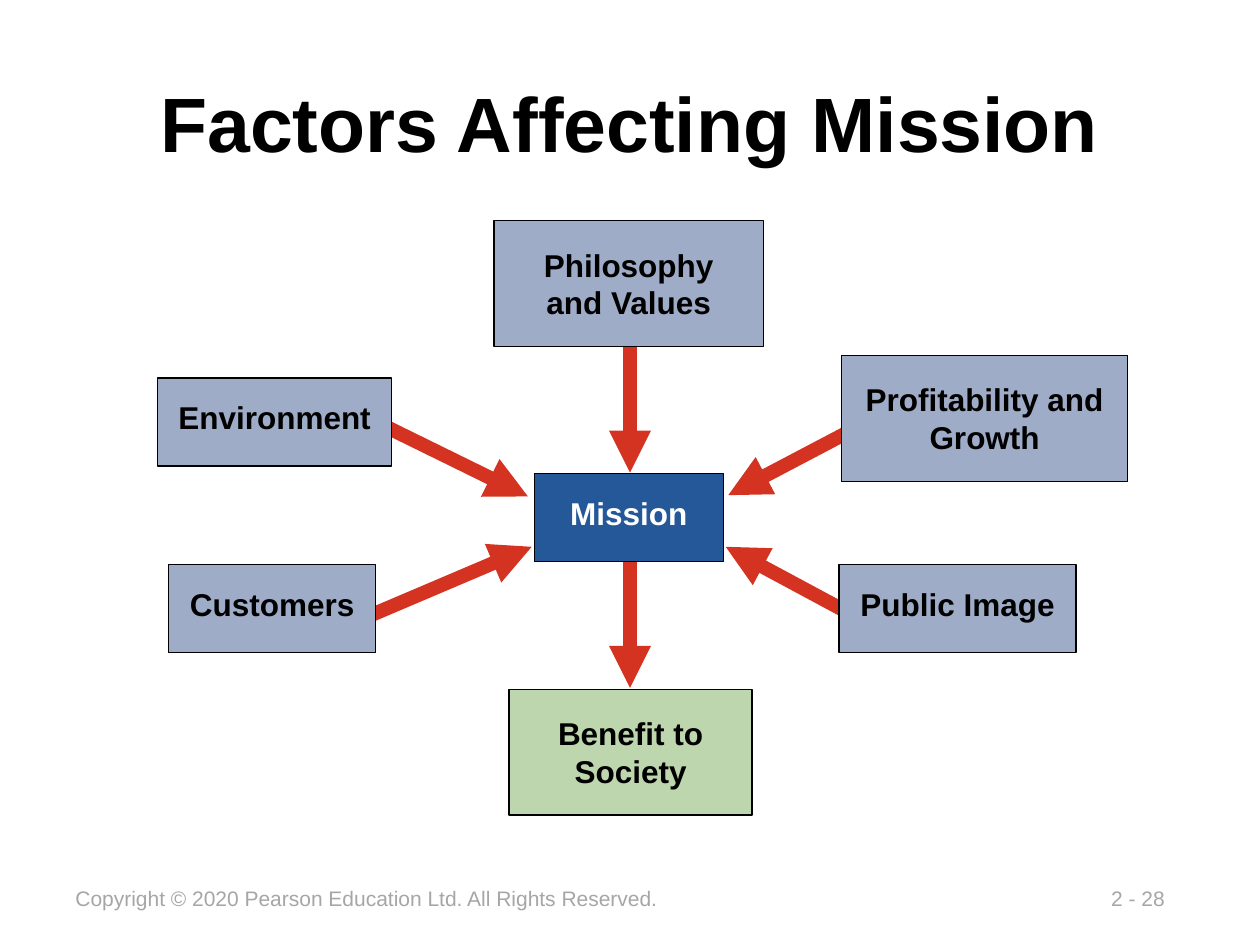
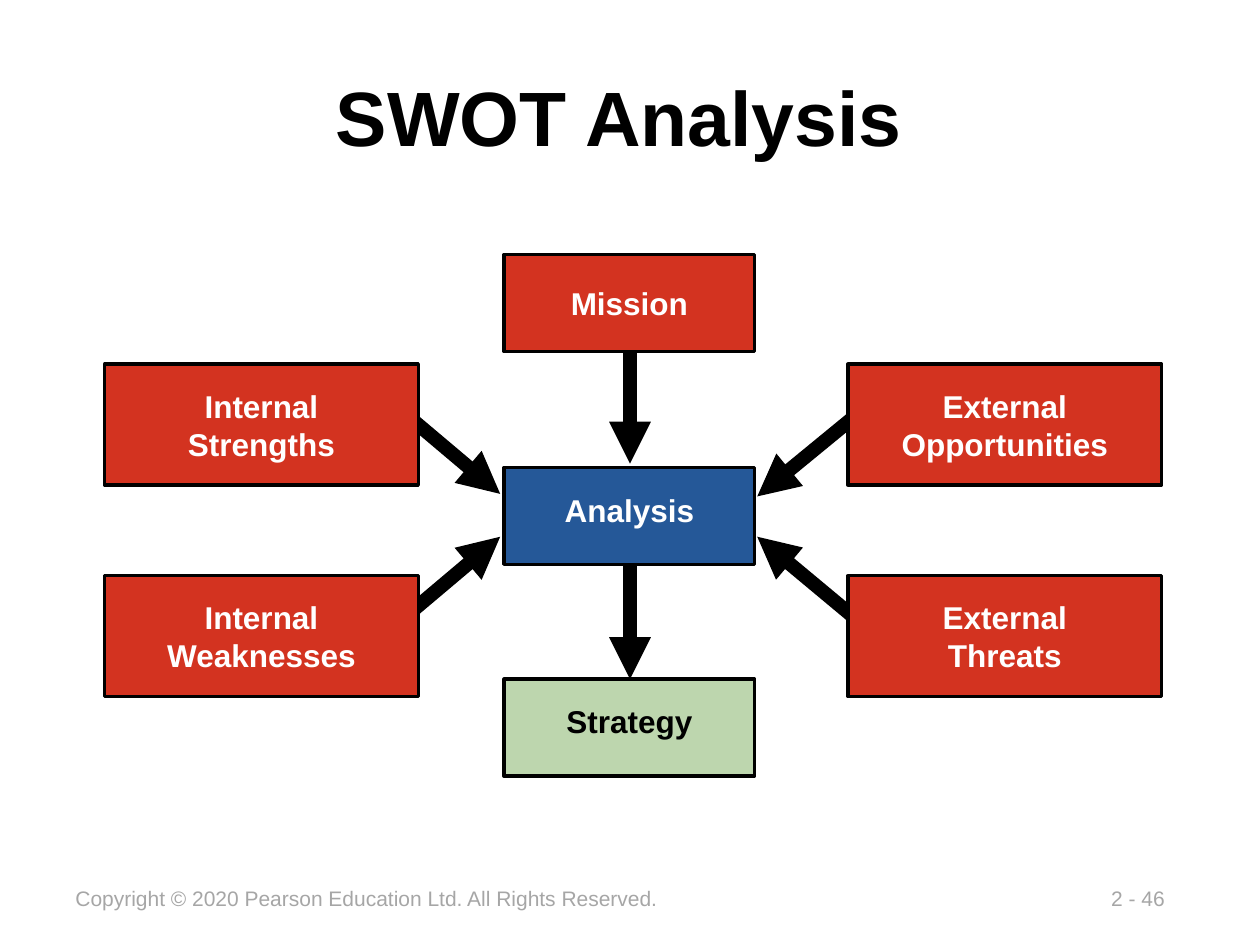
import pptx
import pptx.util
import pptx.dml.color
import pptx.enum.shapes
import pptx.enum.text
import pptx.oxml.ns
import lxml.etree

RGB = pptx.dml.color.RGBColor
ALIGN = pptx.enum.text.PP_ALIGN
ANCHOR = pptx.enum.text.MSO_ANCHOR
Pt = pptx.util.Pt

BLACK = RGB(0x00, 0x00, 0x00)
WHITE = RGB(0xFF, 0xFF, 0xFF)
GREY = RGB(0xA6, 0xA6, 0xA6)
RED = RGB(0xD3, 0x33, 0x20)
BLUE = RGB(0x25, 0x58, 0x98)
PALE_BLUE = RGB(0x9F, 0xAC, 0xC7)
GREEN = RGB(0xBD, 0xD6, 0xAE)

FONT = "Arial"
WIDTH, HEIGHT = pptx.util.Inches(10), pptx.util.Inches(7.5)
COLUMNS, ROWS = 100, 75
CELL = WIDTH / COLUMNS
COPYRIGHT = "Copyright © 2020 Pearson Education Ltd. All Rights Reserved."


def grid(*cells):
    """Turn grid columns or rows into lengths; the cells are square."""
    return [round(cell * CELL) for cell in cells]


def write(shape, text, size=18, color=BLACK, bold=True, align=ALIGN.CENTER,
          anchor=ANCHOR.MIDDLE, insets=(1, 0.5, 1, 0.5), wrap=True, spacing=None):
    """Fill a shape with one paragraph; insets run left, top, right, bottom."""
    frame = shape.text_frame
    frame.word_wrap = wrap
    frame.vertical_anchor = anchor
    (frame.margin_left, frame.margin_top,
     frame.margin_right, frame.margin_bottom) = grid(*insets)
    para = frame.paragraphs[0]
    para.alignment = align
    if spacing:
        para.line_spacing = spacing
    span = para.add_run()
    span.text = text
    span.font.name = FONT
    span.font.size = Pt(size)
    span.font.bold = bold
    span.font.color.rgb = color


def add_text(page, place, text, **style):
    write(page.shapes.add_textbox(*grid(*place)), text, **style)


def add_box(page, place, text, fill, color=BLACK, border=0.75, side=None, lift=0):
    """Draw a labelled box; side wraps the label, lift raises it off centre."""
    box = page.shapes.add_shape(pptx.enum.shapes.MSO_SHAPE.RECTANGLE, *grid(*place))
    box.shadow.inherit = False
    box.fill.solid()
    box.fill.fore_color.rgb = fill
    box.line.color.rgb = BLACK
    box.line.width = Pt(border)
    write(box, text, color=color, wrap=side is not None,
          insets=(side or 0, 0, side or 0, 2 * lift))


def add_arrow(page, ends, color):
    arrow = page.shapes.add_connector(pptx.enum.shapes.MSO_CONNECTOR.STRAIGHT, *grid(*ends))
    arrow.line.color.rgb = color
    arrow.line.width = Pt(8)
    qn = pptx.oxml.ns.qn
    properties = arrow.line._get_or_add_ln()
    lxml.etree.SubElement(properties, qn("a:tailEnd"), type="triangle")
    lxml.etree.SubElement(arrow._element.spPr, qn("a:effectLst"))


def add_page(deck, title, number, title_place, **title_style):
    page = deck.slides.add_slide(deck.slide_layouts[6])
    footer = dict(size=12, color=GREY, bold=False, align=ALIGN.LEFT,
                  anchor=ANCHOR.TOP, wrap=False)
    add_text(page, (87.2, 69.8, 6.5, 3), f"2 - {number}", **footer)
    add_text(page, (5, 69.8, 49.2, 3), COPYRIGHT, **footer)
    add_text(page, title_place, title, size=44, **title_style)
    return page


def add_mission_factors(deck):
    page = add_page(deck, "Factors Affecting Mission", 28, (7.5, 4.8, 85, 9.7))
    for ends in (
        (50, 44.6, 50, 54.6),
        (50, 27.5, 50, 37.5),
        (30.7, 33.9, 41.9, 39.4),
        (67.5, 34.2, 57.8, 39.3),
        (29.5, 48.8, 42.2, 43.4),
        (66.9, 48.4, 57.6, 43.4),
    ):
        add_arrow(page, ends, RED)

    tall, low = 10, 7
    for left, top, width, text, fill in (
        (39.2, 17.5, 21.4, "Philosophy and Values", PALE_BLUE),
        (66.8, 28.2, 22.7, "Profitability and Growth", PALE_BLUE),
        (40.4, 54.7, 19.3, "Benefit to Society", GREEN),
    ):
        add_box(page, (left, top, width, tall), text, fill, side=1.6)
    for left, top, width, text, fill, color in (
        (12.5, 30, 18.6, "Environment", PALE_BLUE, BLACK),
        (13.4, 44.8, 16.4, "Customers", PALE_BLUE, BLACK),
        (66.6, 44.8, 18.8, "Public Image", PALE_BLUE, BLACK),
        (42.4, 37.6, 15, "Mission", BLUE, WHITE),
    ):
        add_box(page, (left, top, width, low), text, fill, color, lift=0.4)


def add_swot(deck):
    page = add_page(deck, "SWOT Analysis", 46, (7.5, 4.8, 83.3, 10.1), spacing=0.8)
    for ends in (
        (50, 44.2, 50, 53.9),
        (50, 27.1, 50, 36.8),
        (31.4, 49.6, 39.7, 42.6),
        (31.4, 32.2, 39.7, 39.2),
        (68.5, 49.6, 60.1, 42.6),
        (68.5, 32.5, 60.1, 39.4),
    ):
        add_arrow(page, ends, BLACK)

    border = 1.88
    for top, text, fill, color, lift in (
        (20.2, "Mission", RED, WHITE, 0),
        (37.1, "Analysis", BLUE, WHITE, 0.5),
        (53.9, "Strategy", GREEN, BLACK, 0.5),
    ):
        add_box(page, (40, top, 19.9, 7.7), text, fill, color, border, lift=lift)

    factors = (
        (8.3, ("Internal Strengths", "Internal Weaknesses")),
        (67.3, ("External Opportunities", "External Threats")),
    )
    for left, texts in factors:
        for top, text in zip((28.9, 45.7), texts):
            add_box(page, (left, top, 24.9, 9.6), text, RED, WHITE, border, side=3.7)


def main():
    deck = pptx.Presentation()
    deck.slide_width, deck.slide_height = WIDTH, HEIGHT
    add_mission_factors(deck)
    add_swot(deck)
    deck.save("out.pptx")


if __name__ == "__main__":
    main()
